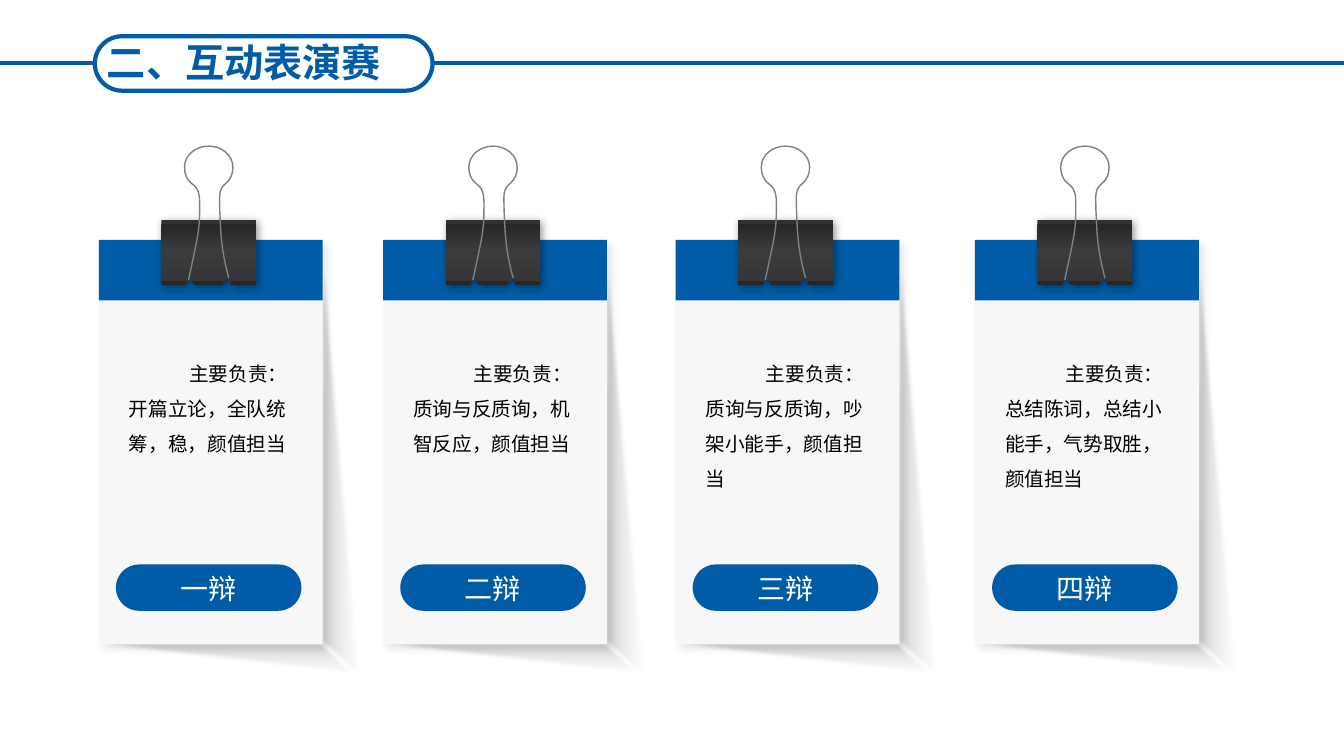
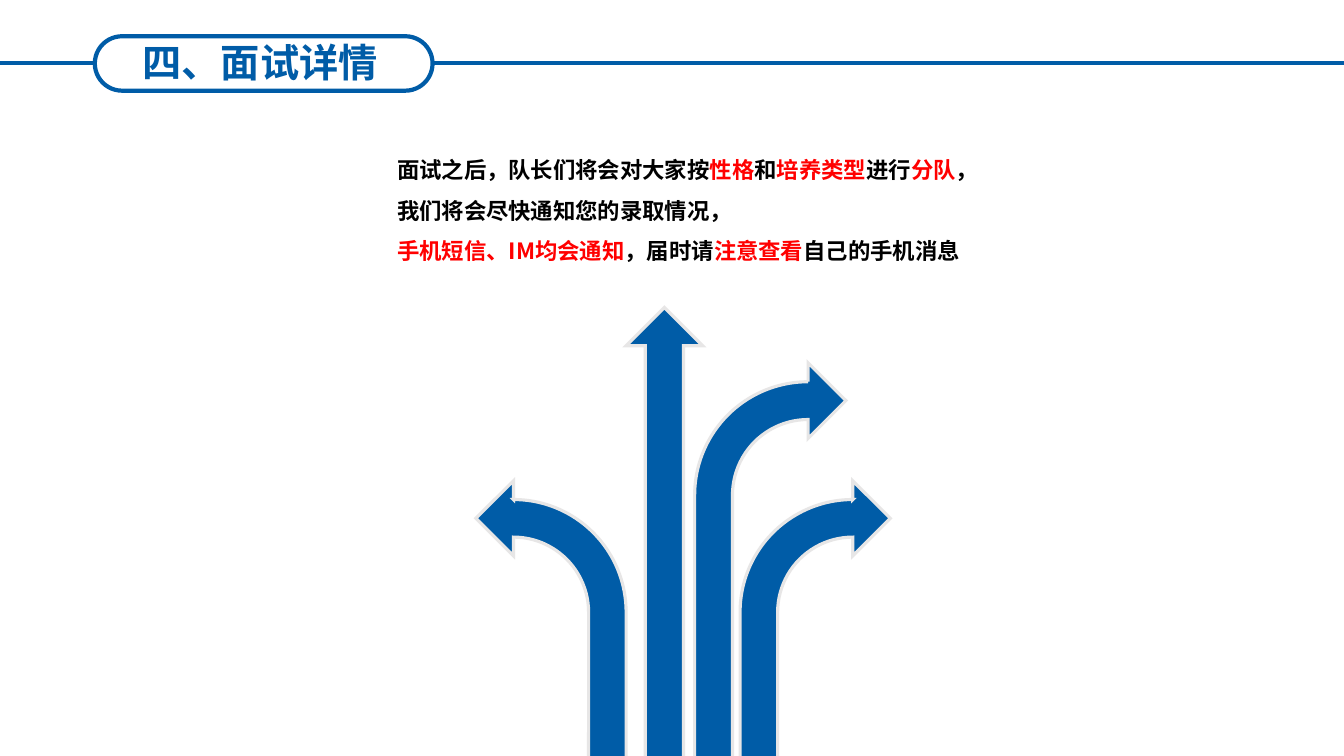
from lxml.etree import SubElement
from pptx import Presentation
from pptx.dml.color import RGBColor
from pptx.enum.shapes import MSO_CONNECTOR, MSO_SHAPE
from pptx.enum.text import MSO_ANCHOR, MSO_AUTO_SIZE, PP_ALIGN
from pptx.oxml.ns import qn
from pptx.util import Inches, Pt

FONT = "Noto Sans CJK SC"
BLUE = RGBColor(0x00, 0x5C, 0xA7)
RED = RGBColor(0xFF, 0x00, 0x00)
BLACK = RGBColor(0x00, 0x00, 0x00)
WHITE = RGBColor(0xFF, 0xFF, 0xFF)
PAPER = RGBColor(0xF7, 0xF7, 0xF7)
WIRE = RGBColor(0x80, 0x80, 0x80)
EDGE = RGBColor(0xE7, 0xE6, 0xE6)

SLIDE_W, SLIDE_H = 13.33, 7.5
TITLE_LINE_Y = SLIDE_H / 12

# Gradient stops: position %, colour, opacity %
SHADE = [(0, RGBColor(0x80, 0x80, 0x80), 44), (100, RGBColor(0xF3, 0xF3, 0xF3), 12)]
STEEL = [(7, RGBColor(0x31, 0x31, 0x32), 100), (7, RGBColor(0x26, 0x26, 0x26), 100),
         (46, RGBColor(0x3B, 0x3B, 0x3D), 100), (93, RGBColor(0x36, 0x36, 0x38), 100),
         (93, RGBColor(0x26, 0x26, 0x26), 100)]

# Outlines of card parts, measured from the card's left edge
SIDE_SHADE = [(2.19, 6.39), (2.61, 6.76), (2.20, 1.91)]
FOOT_SHADE = [(2.24, 6.36), (2.61, 6.71), (-0.44, 6.36)]
CLIP = [(0.62, 2.18), (1.56, 2.18), (1.56, 2.83), (1.31, 2.83), (1.31, 2.77), (1.27, 2.77),
        (1.22, 2.83), (0.96, 2.83), (0.91, 2.77), (0.87, 2.77), (0.87, 2.83), (0.62, 2.83)]
HANDLE_START = (0.89, 2.78)
HANDLE_CURVES = [
    ((0.97, 2.40), (1.00, 2.30), (1.00, 2.10)),
    ((1.00, 1.96), (1.01, 1.88), (0.92, 1.82)),
    ((0.87, 1.78), (0.85, 1.72), (0.85, 1.66)),
    ((0.85, 1.54), (0.96, 1.45), (1.09, 1.45)),
    ((1.22, 1.45), (1.33, 1.54), (1.33, 1.66)),
    ((1.33, 1.72), (1.31, 1.78), (1.26, 1.82)),
    ((1.18, 1.88), (1.20, 1.96), (1.20, 2.09)),
    ((1.21, 2.30), (1.21, 2.47), (1.29, 2.76)),
]

# Card left edge, speaker, duties
SPEAKERS = [
    (0.98, "一辩", "开篇立论，全队统筹，稳，颜值担当"),
    (3.80, "二辩", "质询与反质询，机智反应，颜值担当"),
    (6.70, "三辩", "质询与反质询，吵架小能手，颜值担当"),
    (9.67, "四辩", "总结陈词，总结小能手，气势取胜，颜值担当"),
]

NOTICE = [
    [("面试之后，队长们将会对大家按", BLACK), ("性格", RED), ("和", BLACK),
     ("培养类型", RED), ("进行", BLACK), ("分队", RED), ("，", BLACK)],
    [("我们将会尽快通知您的录取情况，", BLACK)],
    [("手机短信、IM均会通知", RED), ("，届时请", BLACK), ("注意查看", RED),
     ("自己的手机消息", BLACK)],
]

# Arrow preset, left, top, width, height, mirrored
ARROWS = [
    (MSO_SHAPE.BENT_ARROW, 6.89, 3.60, 1.50, 3.94, False),
    (MSO_SHAPE.BENT_ARROW, 7.34, 4.77, 1.49, 2.76, False),
    (MSO_SHAPE.BENT_ARROW, 4.72, 4.77, 1.49, 2.76, True),
    (MSO_SHAPE.UP_ARROW, 6.21, 3.05, 0.76, 4.49, False),
]


# Styling
def add_color(parent, color, opacity):
    node = SubElement(parent, qn("a:srgbClr"), val=str(color))
    SubElement(node, qn("a:alpha"), val=str(opacity * 1000))


def style(shape, fill=None, line=None, width=1):
    shape.shadow.inherit = False
    if fill is None:
        shape.fill.background()
    else:
        shape.fill.solid()
        shape.fill.fore_color.rgb = fill
    if line is None:
        shape.line.fill.background()
    else:
        shape.line.color.rgb = line
        shape.line.width = Pt(width)


def fill_gradient(shape, stops, angle):
    properties = shape._element.spPr
    empty_fill = properties.find(qn("a:noFill"))
    gradient = SubElement(properties, qn("a:gradFill"), rotWithShape="1")
    stop_list = SubElement(gradient, qn("a:gsLst"))
    for position, color, opacity in stops:
        stop = SubElement(stop_list, qn("a:gs"), pos=str(position * 1000))
        add_color(stop, color, opacity)
    SubElement(gradient, qn("a:lin"), ang=str(angle * 60000), scaled="0")
    properties.replace(empty_fill, gradient)


def cast_shadow(shape, opacity, blur, distance):
    effects = shape._element.spPr.find(qn("a:effectLst"))
    shadow = SubElement(effects, qn("a:outerShdw"), blurRad=str(Pt(blur)),
                        dist=str(Pt(distance)), dir=str(45 * 60000),
                        algn="tl", rotWithShape="0")
    add_color(shadow, BLACK, opacity)


def soften(shape, radius):
    effects = shape._element.spPr.find(qn("a:effectLst"))
    SubElement(effects, qn("a:softEdge"), rad=str(Pt(radius)))


# Element builders
def add_preset(slide, preset, left, top, width, height, fill=None, line=None, line_width=1):
    shape = slide.shapes.add_shape(preset, Inches(left), Inches(top),
                                   Inches(width), Inches(height))
    style(shape, fill, line, line_width)
    return shape


def add_pill(slide, *place, **look):
    pill = add_preset(slide, MSO_SHAPE.ROUNDED_RECTANGLE, *place, **look)
    pill.adjustments[0] = 0.5
    return pill


def add_outline(slide, left, points, closed=True):
    corners = [(Inches(left + x), Inches(y)) for x, y in points]
    builder = slide.shapes.build_freeform(*corners[0])
    builder.add_line_segments(corners[1:], close=closed)
    outline = builder.convert_to_shape()
    style(outline)
    return outline


def add_handle(slide, left):
    ends = [HANDLE_START] + [curve[-1] for curve in HANDLE_CURVES]
    handle = add_outline(slide, left, ends, closed=False)
    style(handle, line=WIRE)
    # Bend each straight segment into its curve
    segments = list(handle._element.iter(qn("a:lnTo")))
    for segment, curve in zip(segments, HANDLE_CURVES):
        outline = segment.getparent()
        bend = SubElement(outline, qn("a:cubicBezTo"))
        for x, y in curve:
            SubElement(bend, qn("a:pt"), x=str(Inches(left + x) - handle.left),
                       y=str(Inches(y) - handle.top))
        outline.replace(segment, bend)


def add_curl(slide, left, points, angle):
    curl = add_outline(slide, left, points)
    fill_gradient(curl, SHADE, angle)
    soften(curl, 2.5)


def add_run(paragraph, text, size, color, bold=False):
    run = paragraph.add_run()
    run.text = text
    run.font.name = FONT
    run.font.size = Pt(size)
    run.font.bold = bold
    run.font.color.rgb = color
    SubElement(run._r.get_or_add_rPr(), qn("a:ea"), typeface=FONT)


def write(frame, lines, size, bold=False, aligns=(PP_ALIGN.LEFT,), spacing=None):
    """Write lines of (text, color) runs; the last alignment serves all later lines."""
    frame.word_wrap = True
    frame.vertical_anchor = MSO_ANCHOR.TOP
    for index, runs in enumerate(lines):
        paragraph = frame.add_paragraph() if index else frame.paragraphs[0]
        paragraph.alignment = aligns[min(index, len(aligns) - 1)]
        if spacing:
            paragraph.line_spacing = spacing
        for text, color in runs:
            add_run(paragraph, text, size, color, bold)


def add_text(slide, left, top, width, height, lines, size, **options):
    box = slide.shapes.add_textbox(Inches(left), Inches(top), Inches(width), Inches(height))
    box.text_frame.auto_size = MSO_AUTO_SIZE.SHAPE_TO_FIT_TEXT
    write(box.text_frame, lines, size, **options)


def add_rule(slide, start, end):
    rule = slide.shapes.add_connector(MSO_CONNECTOR.STRAIGHT, Inches(start),
                                      Inches(TITLE_LINE_Y), Inches(end), Inches(TITLE_LINE_Y))
    rule.line.color.rgb = BLUE
    rule.line.width = Pt(3)
    SubElement(rule._element.spPr, qn("a:effectLst"))


def add_title(slide, title, text_left):
    left, width = 0.94, 3.35
    add_rule(slide, left + width, SLIDE_W)
    add_rule(slide, 0, left)
    add_pill(slide, left, 0.36, width, 0.54, line=BLUE, line_width=3)
    add_text(slide, text_left, 0.33, 3.38, 0.6, [[(title, BLUE)]], 28,
             bold=True, aligns=(PP_ALIGN.CENTER,))


def add_speaker_card(slide, left, speaker, duties):
    # Curled paper shadow
    add_curl(slide, left, SIDE_SHADE, 0)
    add_curl(slide, left, FOOT_SHADE, 90)
    # Paper and band
    paper = add_preset(slide, MSO_SHAPE.RECTANGLE, left, 2.38, 2.22, 4.01, fill=PAPER)
    cast_shadow(paper, 10, 6, 4)
    add_preset(slide, MSO_SHAPE.RECTANGLE, left, 2.38, 2.22, 0.6, fill=BLUE)
    # Binder clip
    clip = add_outline(slide, left, CLIP)
    fill_gradient(clip, STEEL, 90)
    cast_shadow(clip, 40, 6, 2)
    add_handle(slide, left)
    # Speaker and duties
    badge = add_pill(slide, left + 0.17, 5.6, 1.84, 0.46, fill=BLUE)
    badge.text_frame.margin_top = badge.text_frame.margin_bottom = 0
    write(badge.text_frame, [[(speaker, WHITE)]], 20, aligns=(PP_ALIGN.CENTER,))
    add_text(slide, left + 0.2, 3.42, 1.77, 1.15,
             [[("主要负责：", BLACK)], [(duties, BLACK)]], 14,
             aligns=(PP_ALIGN.RIGHT, PP_ALIGN.LEFT), spacing=1.5)


def add_arrow(slide, preset, left, top, width, height, mirrored):
    arrow = add_preset(slide, preset, left, top, width, height,
                       fill=BLUE, line=EDGE, line_width=2.25)
    SubElement(arrow.line._get_or_add_ln(), qn("a:miter"), lim="800000")
    if preset == MSO_SHAPE.BENT_ARROW:
        for index, value in enumerate((0.25, 0.25, 0.25, 0.75)):
            arrow.adjustments[index] = value
    if mirrored:
        arrow._element.spPr.xfrm.set("flipH", "1")


# Slides
def build_debate_slide(slide):
    for speaker in SPEAKERS:
        add_speaker_card(slide, *speaker)
    add_title(slide, "二、互动表演赛", 0.73)


def build_interview_slide(slide):
    for arrow in ARROWS:
        add_arrow(slide, *arrow)
    add_text(slide, 3.84, 1.37, 6.1, 1.57, NOTICE, 16, bold=True, spacing=1.5)
    add_title(slide, "四、面试详情", 0.89)


def main():
    deck = Presentation()
    deck.slide_width = Inches(SLIDE_W)
    deck.slide_height = Inches(SLIDE_H)
    blank = deck.slide_layouts[6]
    for build in (build_debate_slide, build_interview_slide):
        build(deck.slides.add_slide(blank))
    deck.save("out.pptx")


if __name__ == "__main__":
    main()
